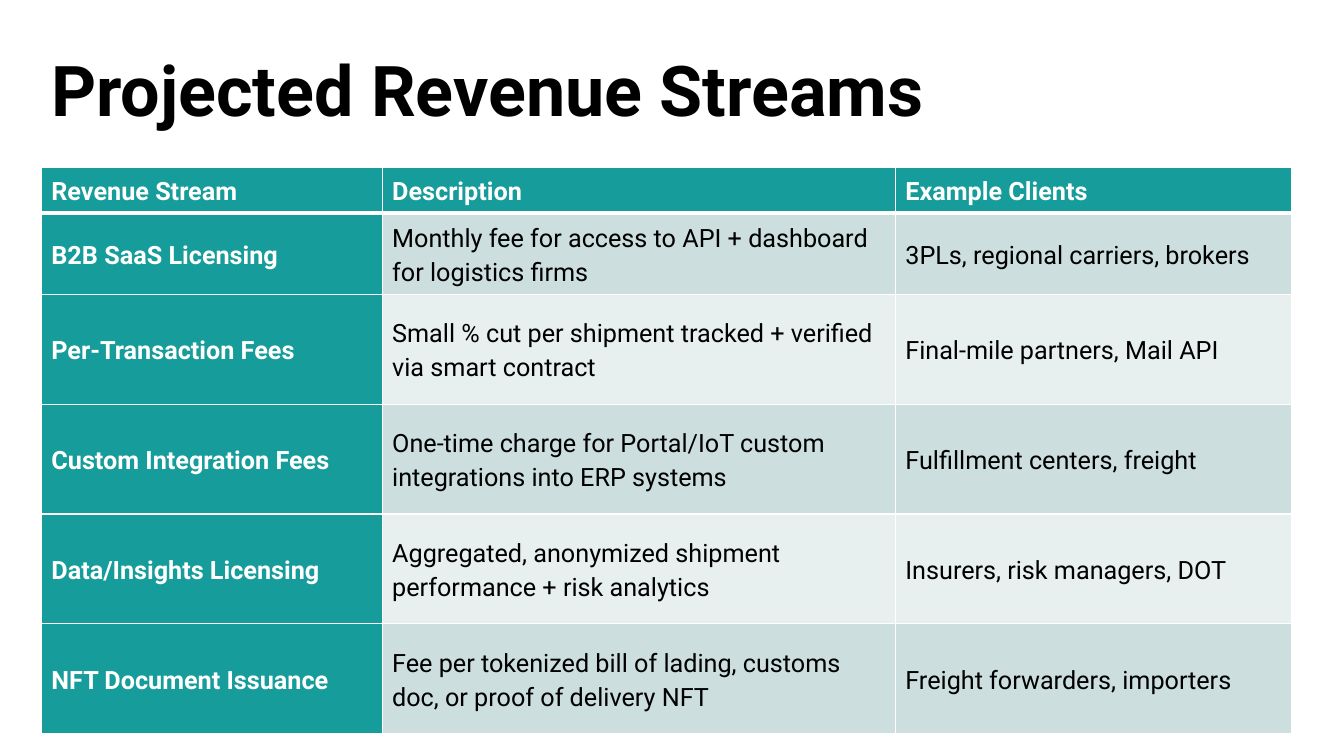
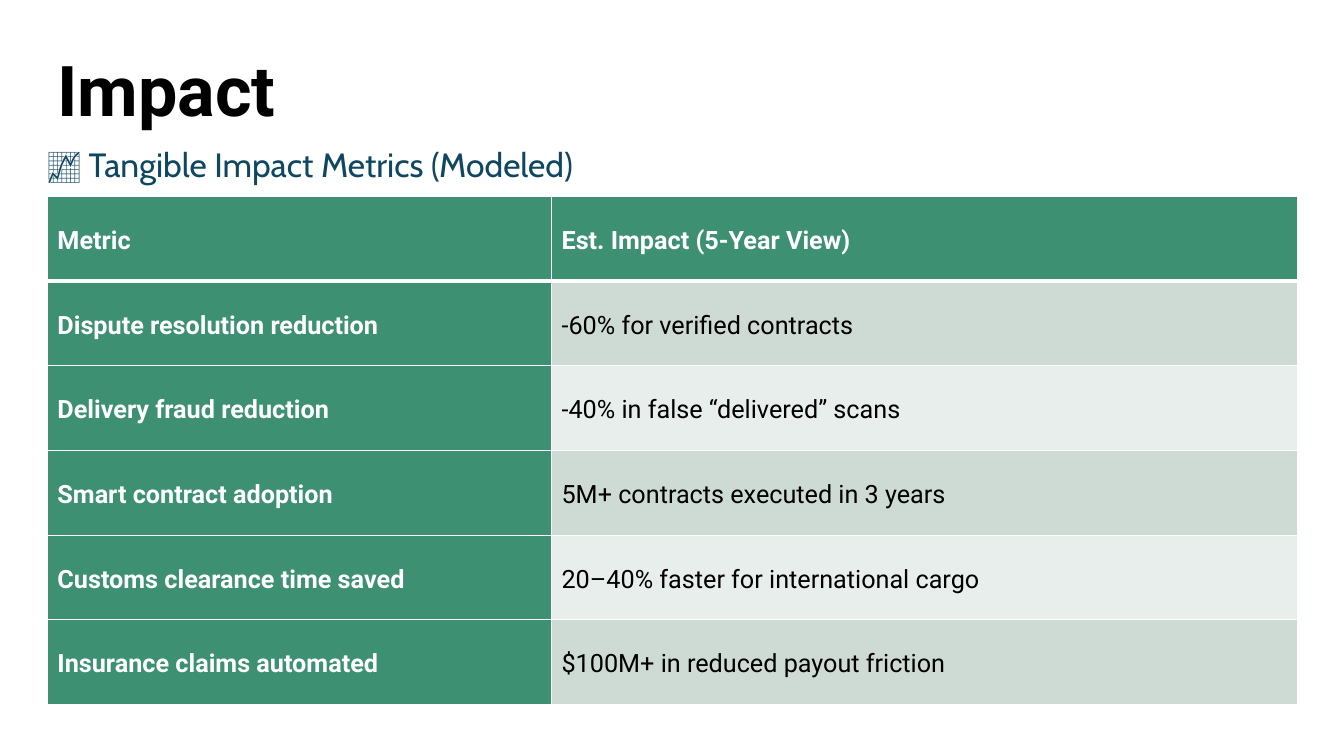
"""Build two slides of tables on revenue streams and impact."""
from lxml import etree
from pptx import Presentation
from pptx import util as u
from pptx.dml.color import RGBColor
from pptx.enum import text
from pptx.oxml import ns

PX = 9144
INK = {"black": "000000", "white": "FFFFFF", "navy": "0F4761"}
TEAL = {"head": "169C9A", "odd": "CCDEDE", "even": "E8EFEF"}
GREEN = {"head": "3D9072", "odd": "CEDBD5", "even": "E8EEEB"}
FONT = "Roboto"

STREAMS = [
    ("Revenue Stream", "Description", "Example Clients"),
    ("B2B SaaS Licensing",
     "Monthly fee for access to API + dashboard for logistics firms",
     "3PLs, regional carriers, brokers"),
    ("Per-Transaction Fees",
     "Small % cut per shipment tracked + verified via smart contract",
     "Final-mile partners, Mail API"),
    ("Custom Integration Fees",
     "One-time charge for Portal/IoT custom integrations into ERP systems",
     "Fulfillment centers, freight"),
    ("Data/Insights Licensing",
     "Aggregated, anonymized shipment performance + risk analytics",
     "Insurers, risk managers, DOT"),
    ("NFT Document Issuance",
     "Fee per tokenized bill of lading, customs doc, or proof of delivery NFT",
     "Freight forwarders, importers"),
]
IMPACT = [
    ("Metric", "Est. Impact (5-Year View)"),
    ("Dispute resolution reduction", "-60% for verified contracts"),
    ("Delivery fraud reduction", "-40% in false “delivered” scans"),
    ("Smart contract adoption", "5M+ contracts executed in 3 years"),
    ("Customs clearance time saved", "20–40% faster for international cargo"),
    ("Insurance claims automated", "$100M+ in reduced payout friction"),
]


def style(para, size, color, bold=False, font=FONT):
    """Format every run of a paragraph."""
    for run in para.runs:
        run.font.size = u.Pt(size)
        run.font.name = font
        run.font.bold = bold
        run.font.color.rgb = RGBColor.from_string(color)


def label(slide, words, box, anchor):
    """Add a one-line text box and return its frame."""
    frame = slide.shapes.add_textbox(*(n * PX for n in box)).text_frame
    frame.word_wrap = True
    frame.vertical_anchor = anchor
    frame.text = words
    return frame


def title(slide, words, box):
    """Add the slide title."""
    para = label(slide, words, box, text.MSO_ANCHOR.BOTTOM).paragraphs[0]
    para.line_spacing = 0.9
    style(para, 50, INK["black"], True)


def lead(slide, words, box):
    """Add the line that introduces a table."""
    frame = label(slide, words, box, text.MSO_ANCHOR.MIDDLE)
    frame.margin_left = frame.margin_right = 0
    style(frame.paragraphs[0], 24, INK["navy"], font="Cabin")


def edge(cell, row):
    """Draw white cell borders, heavier under the header row."""
    props = cell._tc.get_or_add_tcPr()
    wide = {"T": 3 if row == 1 else 1, "B": 3 if row == 0 else 1}
    for at, side in enumerate("LRTB"):
        line = etree.Element(ns.qn("a:ln" + side), w=str(u.Pt(wide.get(side, 1))))
        fill = etree.SubElement(line, ns.qn("a:solidFill"))
        etree.SubElement(fill, ns.qn("a:srgbClr"), val=INK["white"])
        props.insert(at, line)


def fill_cell(cell, words, row, col, hues):
    """Write and colour one table cell."""
    head = row == 0 or col == 0
    tone = "head" if head else "odd" if row % 2 else "even"
    cell.fill.solid()
    cell.fill.fore_color.rgb = RGBColor.from_string(hues[tone])
    cell.vertical_anchor = text.MSO_ANCHOR.MIDDLE
    cell.text = words
    para = cell.text_frame.paragraphs[0]
    para.line_spacing = 1.15
    para.space_after = u.Pt(8)
    style(para, 18, INK["white" if head else "black"], head)
    edge(cell, row)


def grid(slide, rows, left, top, wides, highs, hues):
    """Add a table with a header row and a header column."""
    size = left, top, sum(wides), sum(highs)
    table = slide.shapes.add_table(
        len(rows), len(wides), *(n * PX for n in size)).table
    for col, wide in zip(table.columns, wides):
        col.width = wide * PX
    for line, high in zip(table.rows, highs):
        line.height = high * PX
    for r, cells in enumerate(rows):
        for c, words in enumerate(cells):
            fill_cell(table.cell(r, c), words, r, c, hues)


def main():
    """Build and save the deck."""
    deck = Presentation()
    deck.slide_width, deck.slide_height = 1333 * PX, 750 * PX
    blank = deck.slide_layouts[6]

    slide = deck.slides.add_slide(blank)
    title(slide, "Projected Revenue Streams", (41, 61, 1103, 75))
    grid(slide, STREAMS, 41, 166, [338, 509, 393], [45, 81] + [109] * 4, TEAL)

    slide = deck.slides.add_slide(blank)
    title(slide, "Impact", (47, 59, 670, 77))
    grid(slide, IMPACT, 47, 195, [500, 740], [84] * 6, GREEN)
    lead(slide, "📈 Tangible Impact Metrics (Modeled)", (47, 138, 556, 50))

    deck.save("out.pptx")


if __name__ == "__main__":
    main()
